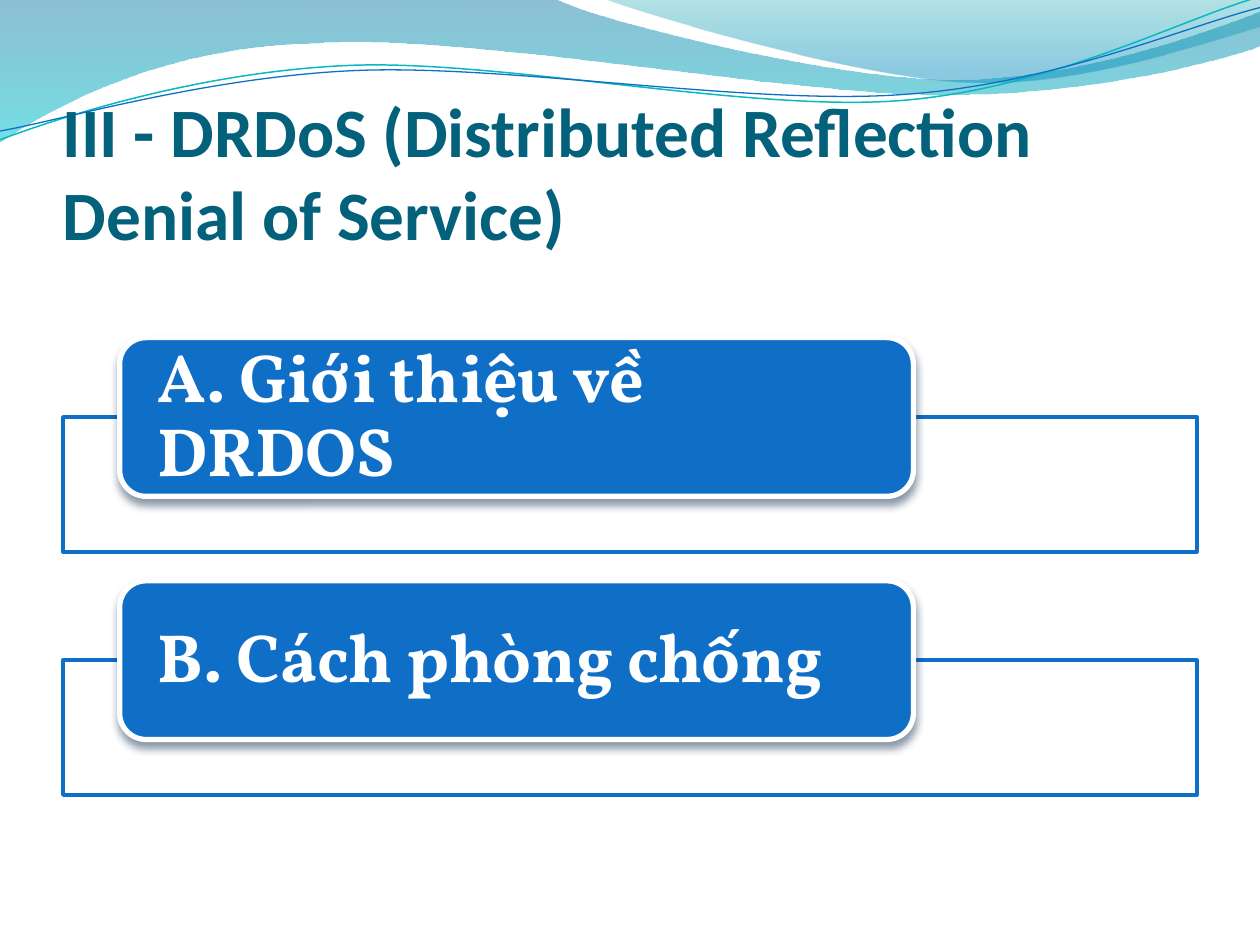
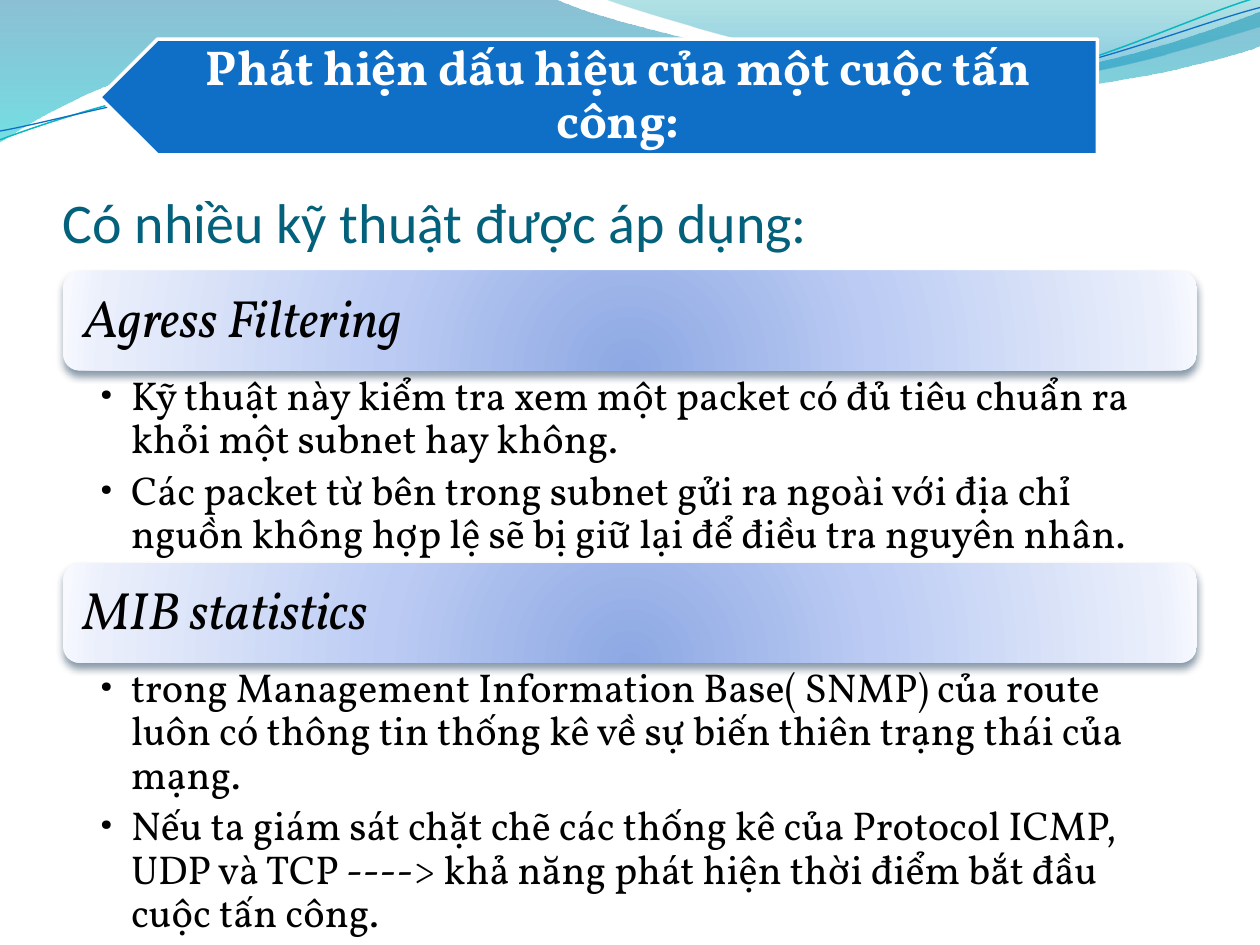
from lxml import etree
from pptx import Presentation
from pptx.dml.color import RGBColor
from pptx.enum.shapes import MSO_SHAPE
from pptx.enum.text import MSO_ANCHOR, PP_ALIGN
from pptx.oxml import parse_xml
from pptx.oxml.ns import nsdecls, qn
from pptx.util import Inches, Pt

RECT, ROUND, PLATE = MSO_SHAPE.RECTANGLE, MSO_SHAPE.ROUNDED_RECTANGLE, MSO_SHAPE.PENTAGON
TOP, MIDDLE, BOTTOM = MSO_ANCHOR.TOP, MSO_ANCHOR.MIDDLE, MSO_ANCHOR.BOTTOM
LEFT, CENTER = PP_ALIGN.LEFT, PP_ALIGN.CENTER

WHITE = RGBColor(0xFF, 0xFF, 0xFF)
BLACK = RGBColor(0, 0, 0)
BLUE = RGBColor(0x0F, 0x6F, 0xC6)
TEAL = RGBColor(0x0A, 0xB8, 0xBF)
NAVY = RGBColor(0x04, 0x61, 0x7B)
SHADE = RGBColor(0x04, 0x27, 0x47)

# Gradient stops: position %, colour, opacity %
BAND = [(0, RGBColor(0x00, 0x74, 0xA1), 45), (100, RGBColor(0x00, 0xC6, 0xCF), 55)]
CORNER = [(0, RGBColor(0x00, 0xA1, 0xA9), 30), (80, RGBColor(0x00, 0x8B, 0xBF), 45)]
GLOW = [(0, RGBColor(0x8D, 0xA8, 0xE3), 100), (43, RGBColor(0xBB, 0xCB, 0xF3), 100),
        (93, RGBColor(0xEA, 0xEF, 0xFB), 100), (100, RGBColor(0xF7, 0xF9, 0xFF), 100)]
DOWN = '<a:lin ang="5400000" scaled="0"/>'
RADIAL = ('<a:path path="circle"><a:fillToRect l="50000" t="130000" '
          'r="50000" b="-30000"/></a:path>')

# Outlines: two numbers draw a line to a point, six draw a curve
BAND_PATH = [(0, 0), (4.4, -0.01), (4.76, 0.17, 6.64, 0.63, 7.58, 0.63),
             (8.53, 0.63, 9.58, 0.26, 10, 0.09), (10.01, 0.36),
             (9.83, 0.44, 8.7, 0.76, 7.46, 0.75), (6.22, 0.75, 3.82, 0.28, 2.57, 0.34),
             (1.29, 0.36, 0.46, 0.83, -0.01, 1.13), (0, 0)]
CORNER_PATH = [(4.79, -0.01), (5.09, 0.11, 6.82, 0.62, 7.69, 0.65),
               (8.56, 0.69, 9.61, 0.32, 10, 0.21), (10, 0), (4.79, -0.01)]
TEAL_PATH = [(0, 1.11), (0.48, 0.93, 1.58, 0.57, 2.77, 0.52),
             (3.95, 0.47, 5.93, 0.89, 7.13, 0.8), (8.33, 0.71, 9.38, 0.15, 9.98, -0.02)]
BLUE_PATH = [(0, 1.04), (0.47, 0.96, 1.64, 0.61, 2.83, 0.56),
             (4.03, 0.51, 5.97, 0.84, 7.17, 0.75), (8.36, 0.67, 9.41, 0.21, 10, 0.06)]

SIDE, WIDE = 0.5, 9
TOPICS = ["A. Giới thiệu về DRDOS", "B. Cách phòng chống"]
METHODS = [
    (2.15, "Agress Filtering", 1.53, [
        "Kỹ thuật này kiểm tra xem một packet có đủ tiêu chuẩn ra khỏi một subnet "
        "hay không.",
        "Các packet từ bên trong subnet gửi ra ngoài với địa chỉ nguồn không hợp lệ "
        "sẽ bị giữ lại để điều tra nguyên nhân."]),
    (4.47, "MIB statistics", 1.87, [
        "trong Management Information Base( SNMP) của route luôn có thông tin thống kê "
        "về sự biến thiên trạng thái của mạng.",
        "Nếu ta giám sát chặt chẽ các thống kê của Protocol ICMP, UDP và TCP ----> "
        "khả năng phát hiện thời điểm bắt đầu cuộc tấn công."]),
]


def bend(shape, steps):
    """Merge the three segments of each six-number step into one cubic curve."""
    lines = iter(list(shape._element.spPr.iter(qn("a:lnTo"))))
    for step in steps[1:]:
        first = next(lines)
        if len(step) == 6:
            first.tag = qn("a:cubicBezTo")
            for _ in range(2):
                line = next(lines)
                line.getparent().remove(line)
                first.append(line[0])


def set_text(shape, lines, size, color, font="Vollkorn", bold=False, italic=False,
             align=LEFT, anchor=MIDDLE, inset=(0, 0, 0, 0), spacing=0.9, after=0,
             bullet=False):
    """Write one paragraph per line; inset is left, top, right, bottom in inches."""
    frame = shape.text_frame
    frame.word_wrap = True
    frame.vertical_anchor = anchor
    (frame.margin_left, frame.margin_top,
     frame.margin_right, frame.margin_bottom) = map(Inches, inset)
    for i, line in enumerate(lines):
        para = frame.add_paragraph() if i else frame.paragraphs[0]
        para.alignment, para.line_spacing = align, spacing
        para.space_after = Pt(after)
        run = para.add_run()
        run.text = line
        run.font.name, run.font.size = font, Pt(size)
        run.font.bold, run.font.italic = bold, italic
        run.font.color.rgb = color
        if bullet:
            props = para._p.get_or_add_pPr()
            props.set("marL", str(Inches(0.25)))
            props.set("indent", str(Inches(-0.25)))
            etree.SubElement(props, qn("a:buFont")).set("typeface", font)
            etree.SubElement(props, qn("a:buChar")).set("char", "•")


class Deck:
    def __init__(self):
        self.prs = Presentation()
        self.prs.slide_width, self.prs.slide_height = Inches(10), Inches(7.5)

    def start(self):
        """Add a slide with the wave header."""
        self.slide = self.prs.slides.add_slide(self.prs.slide_layouts[6])
        self.shade(self.wave(BAND_PATH, True), BAND, DOWN)
        self.shade(self.wave(CORNER_PATH, True), CORNER, DOWN)
        self.wave(TEAL_PATH, False, TEAL, 0.85)
        self.wave(BLUE_PATH, False, BLUE, 0.75)

    def paint(self, shape, fill=None, line=None, width=1):
        shape.shadow.inherit = False
        if fill is None:
            shape.fill.background()
        else:
            shape.fill.solid()
            shape.fill.fore_color.rgb = fill
        if line is None:
            shape.line.fill.background()
        else:
            shape.line.color.rgb = line
            shape.line.width = Pt(width)
        return shape

    def wave(self, steps, close, line=None, width=1):
        dots = [(Inches(step[i]), Inches(step[i + 1]))
                for step in steps for i in range(0, len(step), 2)]
        pen = self.slide.shapes.build_freeform(*dots[0])
        pen.add_line_segments(dots[1:], close=close)
        shape = pen.convert_to_shape()
        bend(shape, steps)
        return self.paint(shape, None, line, width)

    def shade(self, shape, stops, form):
        """Replace the fill by a gradient whose direction is given as XML."""
        marks = "".join(
            f'<a:gs pos="{pos * 1000}"><a:srgbClr val="{color}">'
            f'<a:alpha val="{alpha * 1000}"/></a:srgbClr></a:gs>'
            for pos, color, alpha in stops)
        old = shape._element.spPr.find(qn("a:noFill"))
        old.getparent().replace(old, parse_xml(
            f'<a:gradFill {nsdecls("a")} rotWithShape="1">'
            f'<a:gsLst>{marks}</a:gsLst>{form}</a:gradFill>'))

    def shadow(self, shape):
        effect = shape._element.spPr.find(qn("a:effectLst"))
        effect.append(parse_xml(
            f'<a:outerShdw {nsdecls("a")} blurRad="{Pt(4.5)}" dist="{Pt(3)}" '
            f'dir="5400000" rotWithShape="0"><a:srgbClr val="{SHADE}">'
            f'<a:alpha val="48000"/></a:srgbClr></a:outerShdw>'))

    def shape(self, kind, box, fill=None, line=None, width=1):
        shape = self.slide.shapes.add_shape(kind, *map(Inches, box))
        return self.paint(shape, fill, line, width)

    def text(self, box, lines, size, color, **style):
        area = self.slide.shapes.add_textbox(*map(Inches, box))
        set_text(area, lines, size, color, **style)

    def title(self, text, size, bold=False):
        self.text((SIDE, 0.77, WIDE, 1.25), [text], size, NAVY, font="Calibri",
                  bold=bold, anchor=BOTTOM, inset=(0, 0.05, 0, 0), spacing=1.0)

    def topic(self, top, text):
        """Draw a blue tab over an outlined frame."""
        self.shape(RECT, (SIDE, top + 0.63, WIDE, 1.07), WHITE, BLUE, 2)
        self.shadow(self.shape(ROUND, (0.95, top, 6.3, 1.26), BLUE, WHITE, 3))
        self.text((1.01, top + 0.06, 6.18, 1.14), [text], 39, WHITE, bold=True,
                  inset=(0.24, 0, 0.24, 0))

    def method(self, top, name, height, notes):
        """Draw a shaded bar with its bullets below."""
        bar = self.shape(ROUND, (SIDE, top, WIDE, 0.79))
        self.shade(bar, GLOW, RADIAL)
        self.shadow(bar)
        self.text((0.54, top + 0.04, 8.92, 0.71), [name], 30, BLACK, italic=True,
                  inset=(0.12,) * 4)
        self.text((SIDE, top + 0.79, WIDE, height), notes, 23, BLACK, anchor=TOP,
                  inset=(0.29, 0.04, 0.23, 0.04), after=4.6, bullet=True)

    def banner(self, text):
        plate = self.shape(PLATE, (0.79, 0.31, 7.92, 0.92), BLUE, WHITE, 2)
        plate.rotation = 180
        self.text((0.99, 0.3, 7.71, 0.92), [text], 28, WHITE, bold=True, align=CENTER,
                  inset=(0.28, 0.09, 0.16, 0.09))


def main():
    deck = Deck()
    deck.start()
    deck.title("III - DRDoS (Distributed Reflection Denial of Service)", 39.6, bold=True)
    for i, topic in enumerate(TOPICS):
        deck.topic(2.68 + 1.93 * i, topic)

    deck.start()
    deck.title("Có nhiều kỹ thuật được áp dụng:", 32)
    for method in METHODS:
        deck.method(*method)
    deck.banner("Phát hiện dấu hiệu của một cuộc tấn công:")
    deck.prs.save("out.pptx")


if __name__ == "__main__":
    main()
